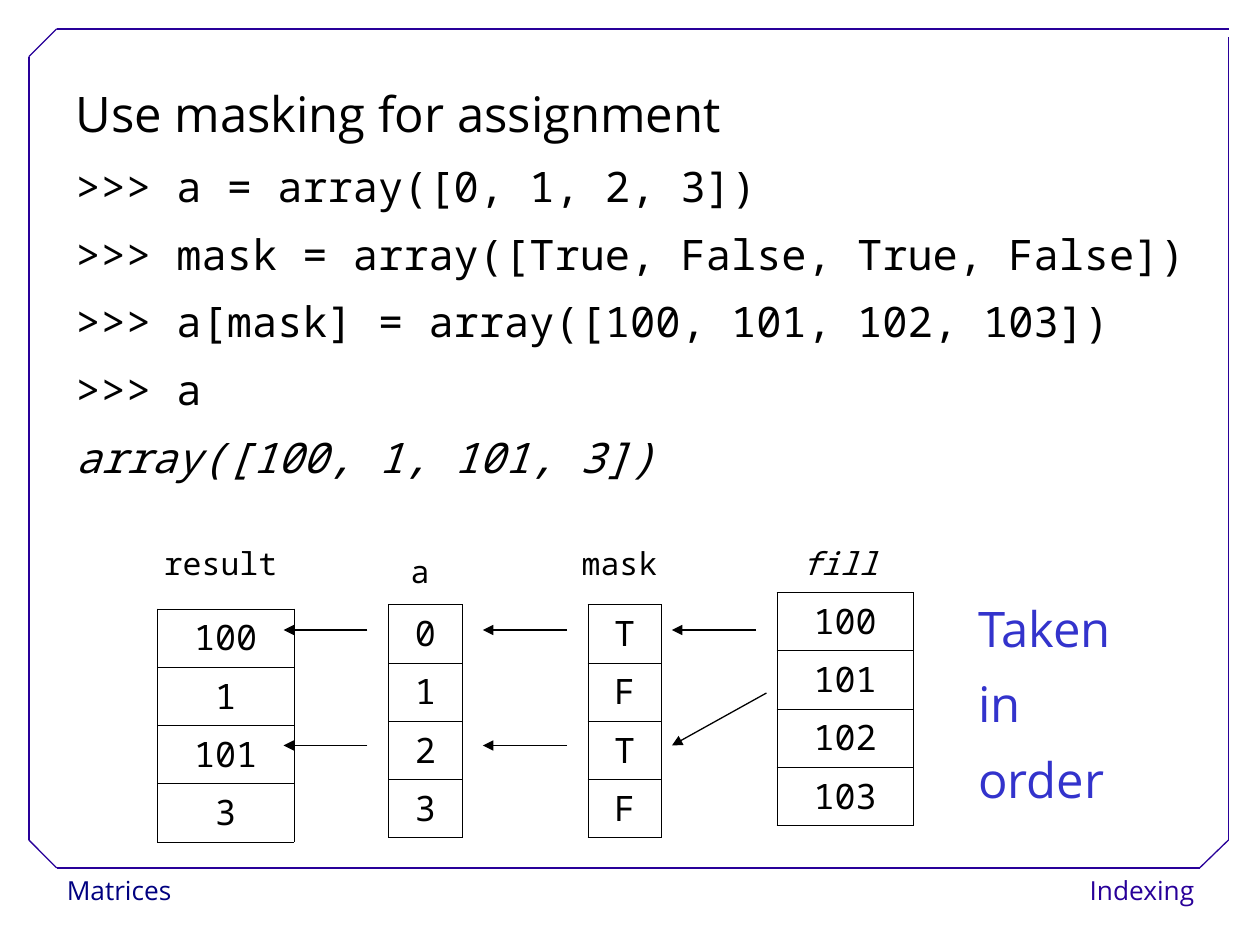
from typing import NamedTuple

from lxml.etree import SubElement
from pptx import Presentation
from pptx.dml.color import RGBColor
from pptx.enum.shapes import MSO_CONNECTOR
from pptx.enum.text import MSO_ANCHOR, MSO_AUTO_SIZE, PP_ALIGN
from pptx.oxml.ns import qn
from pptx.slide import Slide
from pptx.text.text import TextFrame
from pptx.util import Pt

BLACK = RGBColor(0x00, 0x00, 0x00)
WHITE = RGBColor(0xFF, 0xFF, 0xFF)
NAVY = RGBColor(0x00, 0x00, 0x80)
PURPLE = RGBColor(0x28, 0x00, 0x99)
BLUE = RGBColor(0x33, 0x33, 0xCC)
SANS = "Open Sans"
MONO = "Noto Sans Mono"
ROW = 33.3
GAP = 12.9


class Style(NamedTuple):
    font: str
    size: float
    color: RGBColor = BLACK
    italic: bool = False
    align: PP_ALIGN = PP_ALIGN.LEFT
    line: float = 1.0
    after: float = 0
    hang: float = 0


class Box(NamedTuple):
    left: float
    top: float
    width: float
    height: float


class Column(NamedTuple):
    name: str
    label: Box
    left: float
    top: float
    width: float
    values: list[str]
    italic: bool = False


class Line(NamedTuple):
    x1: float
    y1: float
    x2: float
    y2: float


HEAD = Style(SANS, 28, line=0.9, after=GAP, hang=24.5)
CODE = HEAD._replace(font=MONO, size=24)
NOTE = HEAD._replace(color=BLUE)
CELL = Style(MONO, 20, align=PP_ALIGN.CENTER, line=0.93, after=GAP)
LABEL = Style(MONO, 18, align=PP_ALIGN.CENTER)
LEFT = Style(SANS, 15, NAVY, line=1.02)
RIGHT = LEFT._replace(color=PURPLE, align=PP_ALIGN.RIGHT)

BODY = [
    ("Use masking for assignment", HEAD),
    (">>> a = array([0, 1, 2, 3])", CODE),
    (">>> mask = array([True, False, True, False])", CODE),
    (">>> a[mask] = array([100, 101, 102, 103])", CODE),
    (">>> a", CODE),
    ("array([100, 1, 101, 3])", CODE._replace(italic=True)),
]
COLUMNS = [
    Column("fill", Box(444, 307.5, 72, 29), 444, 338.5, 78,
           ["100", "101", "102", "103"], True),
    Column("a", Box(204, 312, 72, 29), 222, 345.6, 42, ["0", "1", "2", "3"]),
    Column("mask", Box(318, 307.5, 72, 29), 336, 345.6, 42,
           ["T", "F", "T", "F"]),
    Column("result", Box(78, 307.5, 96, 29), 90, 348, 78,
           ["100", "1", "101", "3"]),
]
FRAME = [
    Line(32.4, 496, 685.5, 496),
    Line(16.5, 480, 16.5, 32.4),
    Line(32.4, 16.5, 702, 16.5),
    Line(702, 480, 702, 21),
    Line(16.5, 32.4, 32.4, 16.5),
    Line(685.5, 496, 702, 480),
    Line(16.5, 480, 32.4, 496),
]
ARROWS = [Line(x, y, x - 48, y) for x in (210, 324) for y in (360, 426)]
ARROWS += [Line(432, 360, 384, 360), Line(438, 396, 384, 426)]


def write(frame: TextFrame, lines: list[tuple[str, Style]]) -> None:
    for i, (text, style) in enumerate(lines):
        para = frame.paragraphs[0] if i == 0 else frame.add_paragraph()
        para.text = text
        para.alignment = style.align
        para.line_spacing = style.line
        para.space_before = Pt(0)
        para.space_after = Pt(style.after)
        props = para._p.get_or_add_pPr()
        props.set("marL", str(Pt(style.hang)))
        props.set("indent", str(-Pt(style.hang)))
        SubElement(props, qn("a:buNone"))
        font = para.font
        font.name = style.font
        font.size = Pt(style.size)
        font.italic = style.italic
        font.color.rgb = style.color


def pad(frame: TextFrame, side: float = 7.2, end: float = 3.6) -> None:
    frame.word_wrap = True
    frame.auto_size = MSO_AUTO_SIZE.NONE
    frame.vertical_anchor = MSO_ANCHOR.TOP
    frame.margin_left = frame.margin_right = Pt(side)
    frame.margin_top = frame.margin_bottom = Pt(end)


def add_text(slide: Slide, box: Box, lines: list[tuple[str, Style]]):
    shape = slide.shapes.add_textbox(*map(Pt, box))
    pad(shape.text_frame)
    write(shape.text_frame, lines)
    return shape


def add_footer(slide: Slide, box: Box, text: str, style: Style) -> None:
    shape = add_text(slide, box, [(text, style)])
    pad(shape.text_frame, 6.5, 3)
    shape.fill.solid()
    shape.fill.fore_color.rgb = WHITE


def add_line(slide: Slide, line: Line, color: RGBColor,
             arrow: bool = False) -> None:
    shape = slide.shapes.add_connector(MSO_CONNECTOR.STRAIGHT, *map(Pt, line))
    shape.line.color.rgb = color
    shape.line.width = Pt(0.75)
    if arrow:
        SubElement(shape.line._get_or_add_ln(), qn("a:tailEnd"),
                   type="triangle")
    SubElement(shape._element.spPr, qn("a:effectLst"))


def add_borders(cell) -> None:
    props = cell._tc.get_or_add_tcPr()
    for side in ("lnL", "lnR", "lnT", "lnB"):
        edge = SubElement(props, qn(f"a:{side}"), w=str(Pt(0.45)))
        fill = SubElement(edge, qn("a:solidFill"))
        SubElement(fill, qn("a:srgbClr"), val=str(BLACK))


def add_column(slide: Slide, col: Column) -> None:
    count = len(col.values)
    shape = slide.shapes.add_table(count, 1, Pt(col.left), Pt(col.top),
                                   Pt(col.width), Pt(ROW * count))
    table = shape.table
    table.first_row = table.horz_banding = False
    for i, value in enumerate(col.values):
        table.rows[i].height = Pt(ROW)
        cell = table.cell(i, 0)
        cell.margin_left = cell.margin_right = Pt(7.2)
        cell.margin_top = cell.margin_bottom = Pt(3.6)
        add_borders(cell)
        cell.fill.background()
        write(cell.text_frame, [(value, CELL)])
    style = LABEL._replace(italic=col.italic)
    label = add_text(slide, col.label, [(col.name, style)])
    label.text_frame.auto_size = MSO_AUTO_SIZE.SHAPE_TO_FIT_TEXT


def main() -> None:
    deck = Presentation()
    deck.slide_width, deck.slide_height = Pt(720), Pt(540)
    slide = deck.slides.add_slide(deck.slide_layouts[1])
    title = slide.shapes.title._element
    title.getparent().remove(title)

    add_footer(slide, Box(31.7, 496, 140.4, 26.6), "Matrices", LEFT)
    add_footer(slide, Box(597.6, 496, 91.4, 26.6), "Indexing", RIGHT)
    for line in FRAME:
        add_line(slide, line, PURPLE)

    body = slide.placeholders[1]
    body.left, body.top, body.width, body.height = map(
        Pt, Box(36, 48, 666, 438))
    pad(body.text_frame)
    write(body.text_frame, BODY)

    for col in COLUMNS:
        add_column(slide, col)
    add_text(slide, Box(552, 342, 96, 126),
             [(word, NOTE) for word in ("Taken", "in", "order")])
    for line in ARROWS:
        add_line(slide, line, BLACK, arrow=True)
    deck.save("out.pptx")


if __name__ == "__main__":
    main()
